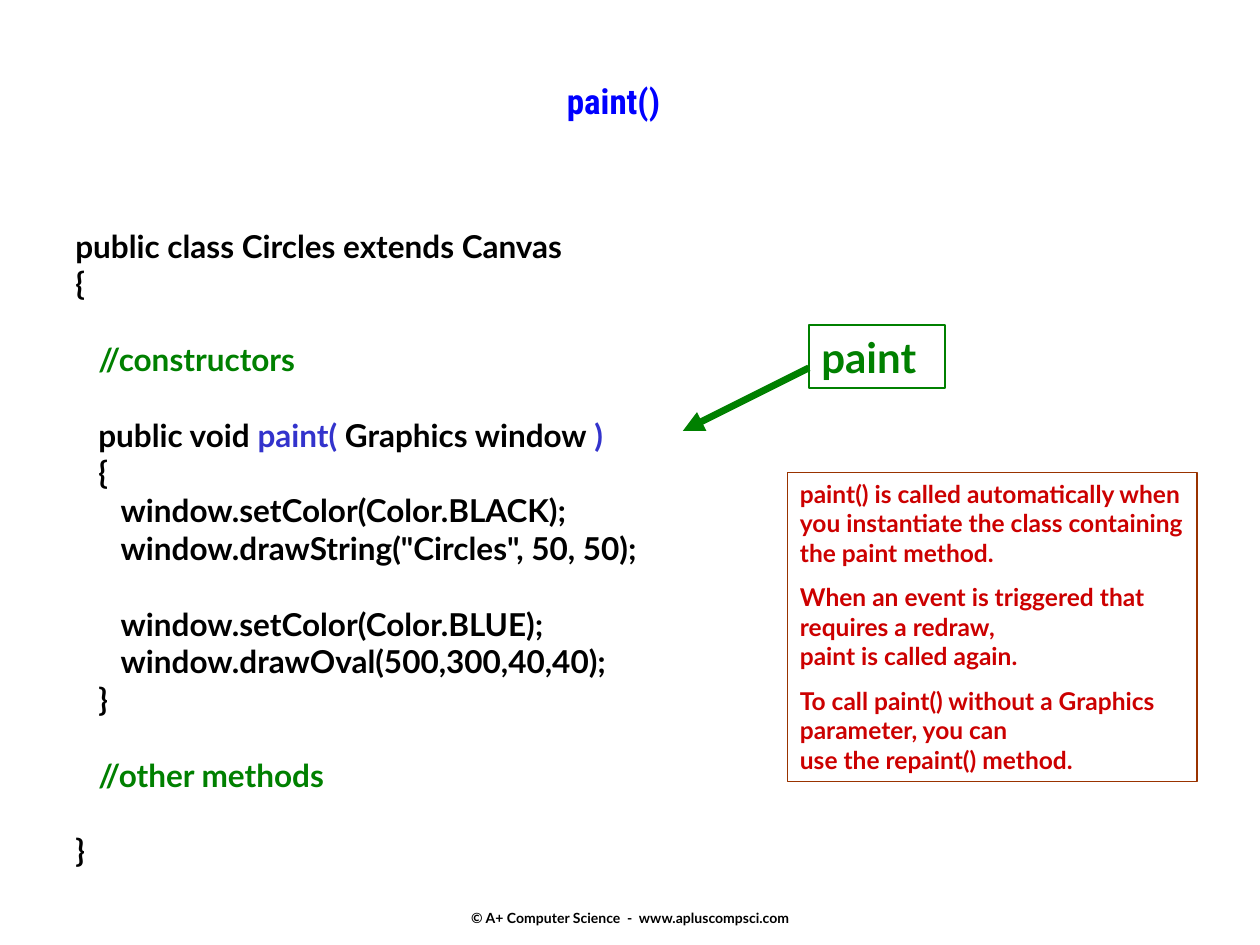
from lxml.etree import SubElement
from pptx import Presentation
from pptx.dml.color import RGBColor
from pptx.enum.shapes import MSO_CONNECTOR, MSO_SHAPE
from pptx.enum.text import MSO_ANCHOR, PP_ALIGN
from pptx.oxml.ns import qn
from pptx.util import Inches, Pt

HUES = {
    "title": "0000FF",
    "text": "000000",
    "green": "008000",
    "call": "3333CC",
    "note": "CC0000",
    "edge": "993300",
}

CODE = [
    ["public class Circles extends Canvas"],
    ["{"],
    [],
    ["   ", ("//constructors", "green")],
    [],
    ["   public void ", ("paint(", "call"), " Graphics window", (" )", "call")],
    ["   {"],
    ["      window.setColor(Color.BLACK);"],
    ['      window.drawString("Circles", 50, 50);'],
    [],
    ["      window.setColor(Color.BLUE);"],
    ["      window.drawOval(500,300,40,40);"],
    ["   }"],
    [],
    ["   ", ("//other methods", "green")],
    [],
    ["}"],
]

NOTES = [
    ["paint() is called automatically when you instantiate the class "
     "containing the paint method."],
    ["When an event is triggered that requires a redraw,\npaint is called again."],
    ["To call paint() without a Graphics parameter, you can\n"
     "use the repaint() method."],
]


def paint(hue):
    return RGBColor.from_string(HUES[hue])


def write(shape, rows, size, hue="text", font="Lato", align=PP_ALIGN.LEFT,
          anchor=MSO_ANCHOR.TOP, gap=0, skip=0, wrap=True):
    frame = shape.text_frame
    frame.word_wrap = wrap
    frame.vertical_anchor = anchor
    para, space = None, 0
    for row in rows:
        if not row:
            space += skip
            continue
        first = para is None
        para = frame.paragraphs[0] if first else frame.add_paragraph()
        para.alignment = align
        para.space_before = Pt(0 if first else gap + space)
        space = 0
        for part in row:
            words, tint = (part, hue) if isinstance(part, str) else part
            for i, line in enumerate(words.split("\n")):
                if i:
                    para.add_line_break()
                run = para.add_run()
                run.text = line
                run.font.name = font
                run.font.size = Pt(size)
                run.font.bold = True
                run.font.color.rgb = paint(tint)


def frame_box(slide, box, hue):
    shape = slide.shapes.add_shape(MSO_SHAPE.RECTANGLE, *map(Inches, box))
    shape.shadow.inherit = False
    shape.fill.background()
    shape.line.color.rgb = paint(hue)
    shape.line.width = Pt(0.75)
    return shape


def add_title(slide, box):
    title = slide.shapes.title
    title.left, title.top, title.width, title.height = map(Inches, box)
    write(title, [["paint()"]], 20, hue="title", font="Roboto Condensed",
          align=PP_ALIGN.CENTER)


def add_code(slide, box):
    shape = slide.shapes.add_textbox(*map(Inches, box))
    write(shape, CODE, 18, skip=21.6)


def add_notes(slide, box):
    write(frame_box(slide, box, "edge"), NOTES, 14, hue="note", gap=8.8)


def add_label(slide, box):
    x, y = box[:2]
    ends = x, y + 0.34, x - 1, y + 0.84
    arrow = slide.shapes.add_connector(MSO_CONNECTOR.STRAIGHT, *map(Inches, ends))
    arrow.line.color.rgb = paint("green")
    arrow.line.width = Pt(4)
    SubElement(arrow.line._get_or_add_ln(), qn("a:tailEnd"), type="triangle")
    SubElement(arrow._element.spPr, qn("a:effectLst"))
    write(frame_box(slide, box, "green"), [["paint"]], 24, hue="green")


def add_foot(slide, box):
    shape = slide.shapes.add_textbox(*map(Inches, box))
    write(shape, [["© A+ Computer Science  -  www.apluscompsci.com"]], 8,
          align=PP_ALIGN.CENTER, anchor=MSO_ANCHOR.MIDDLE, wrap=False)


def main():
    deck = Presentation()
    deck.slide_width, deck.slide_height = Inches(10), Inches(7.5)
    slide = deck.slides.add_slide(deck.slide_layouts[5])
    add_foot(slide, (3.42, 7.16, 3.17, 0.25))
    add_code(slide, (0.5, 1.75, 5.67, 5.2))
    add_notes(slide, (6.25, 3.75, 3.25, 2.45))
    add_title(slide, (1.83, 0.58, 6.08, 0.92))
    add_label(slide, (6.42, 2.58, 1.08, 0.5))
    deck.save("out.pptx")


if __name__ == "__main__":
    main()
